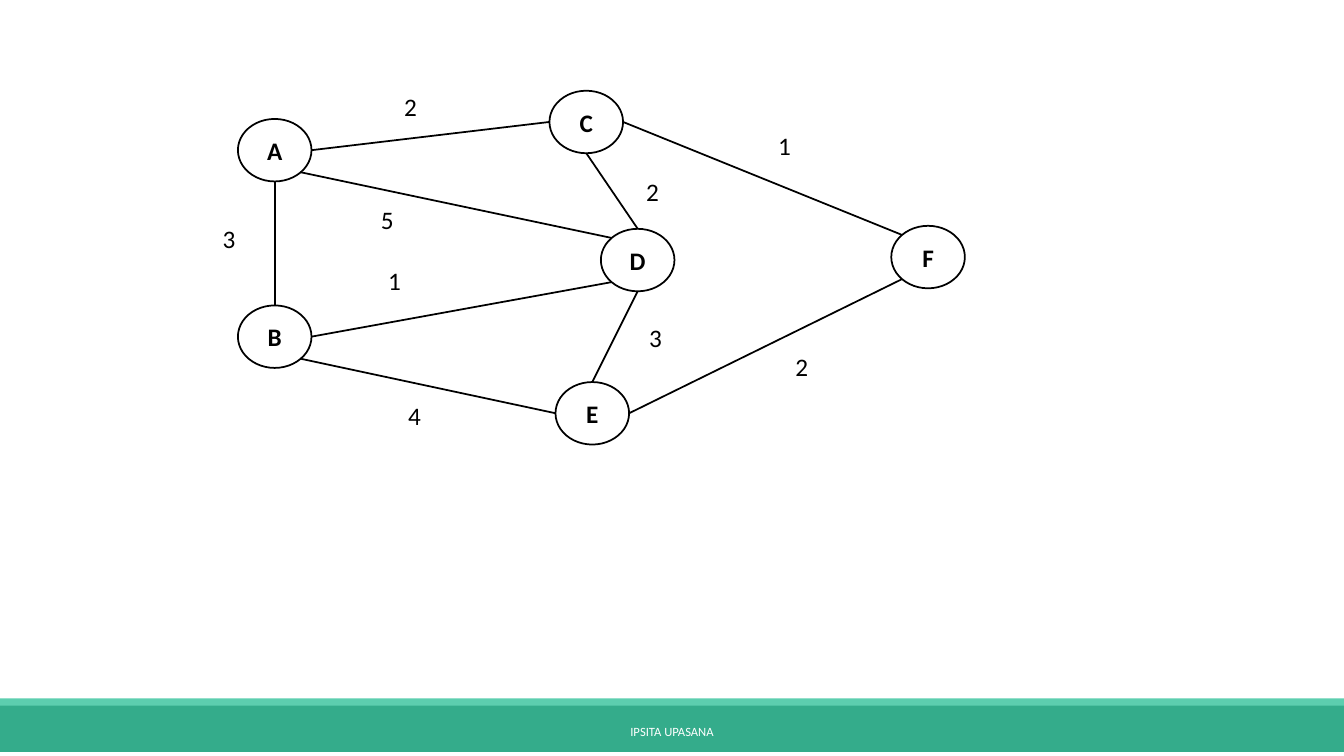
from math import sqrt

from lxml.etree import SubElement
from pptx import Presentation
from pptx.dml.color import RGBColor
from pptx.enum.shapes import MSO_CONNECTOR, MSO_SHAPE
from pptx.enum.text import MSO_ANCHOR, MSO_AUTO_SIZE, PP_ALIGN
from pptx.oxml.ns import qn
from pptx.util import Inches, Pt

BLACK = RGBColor(0x00, 0x00, 0x00)
WHITE = RGBColor(0xFF, 0xFF, 0xFF)
GREEN = RGBColor(0x34, 0xAC, 0x8B)
MINT = RGBColor(0x5D, 0xCE, 0xAF)

NODE_W, NODE_H = 0.73, 0.62
LABEL_W, LABEL_H = 0.38, 0.4
DIAGONAL = 1 / sqrt(2)
SIDES = {
    "top": (0, -1),
    "bottom": (0, 1),
    "left": (-1, 0),
    "right": (1, 0),
    "top left": (-DIAGONAL, -DIAGONAL),
    "bottom left": (-DIAGONAL, DIAGONAL),
    "bottom right": (DIAGONAL, DIAGONAL),
}

NODES = {
    "A": (0.25, 0.32),
    "B": (0.25, 2.17),
    "C": (3.34, 0.04),
    "D": (3.85, 1.41),
    "E": (3.4, 2.93),
    "F": (6.73, 1.38),
}
EDGES = [
    ("A", "bottom", "B", "top", "3", (0, 1.31)),
    ("A", "right", "C", "left", "2", (1.8, 0)),
    ("A", "bottom right", "D", "top left", "5", (1.57, 1.12)),
    ("B", "right", "D", "bottom left", "1", (1.64, 1.72)),
    ("B", "bottom right", "E", "left", "4", (1.84, 3.06)),
    ("C", "right", "F", "top left", "1", (5.51, 0.38)),
    ("E", "right", "F", "bottom left", "2", (5.68, 2.58)),
    ("C", "bottom", "D", "top", "2", (4.2, 0.84)),
    ("E", "top", "D", "bottom", "3", (4.23, 2.29)),
]


def write(shape, text, color, **font_format):
    frame = shape.text_frame
    frame.word_wrap = True
    paragraph = frame.paragraphs[0]
    run = paragraph.add_run()
    run.text = text
    run.font.color.rgb = color
    for name, value in {"name": "Calibri", **font_format}.items():
        setattr(run.font, name, value)
    return frame, paragraph


def center(frame, paragraph):
    frame.vertical_anchor = MSO_ANCHOR.MIDDLE
    paragraph.alignment = PP_ALIGN.CENTER


def add_filled(slide, preset, box, color):
    shape = slide.shapes.add_shape(preset, *map(Inches, box))
    shape.shadow.inherit = False
    shape.fill.solid()
    shape.fill.fore_color.rgb = color
    shape.line.fill.background()
    return shape


def add_footer(slide, box):
    left, top, width, height = box
    add_filled(slide, MSO_SHAPE.RECTANGLE, (left, top + 0.03, width, height - 0.03), GREEN)
    add_filled(slide, MSO_SHAPE.RECTANGLE, (left, top, width, 0.07), MINT)
    author = slide.shapes.add_textbox(
        *map(Inches, (left + 4.03, top + 0.13, 5.27, 0.4)))
    center(*write(author, "IPSITA UPASANA", WHITE, size=Pt(9)))


def add_node(slide, letter, left, top):
    node = add_filled(slide, MSO_SHAPE.OVAL, (left, top, NODE_W, NODE_H), WHITE)
    node.line.color.rgb = BLACK
    node.line.width = Pt(1.25)
    center(*write(node, letter, BLACK, size=Pt(18), bold=True))


def site(letter, side, left, top):
    x, y = NODES[letter]
    across, down = SIDES[side]
    return (Inches(left + x + NODE_W / 2 * (1 + across)),
            Inches(top + y + NODE_H / 2 * (1 + down)))


def add_edge(slide, begin, end):
    edge = slide.shapes.add_connector(MSO_CONNECTOR.STRAIGHT, *begin, *end)
    edge.line.color.rgb = BLACK
    edge.line.width = Pt(1.25)
    SubElement(edge._element.spPr, qn("a:effectLst"))


def add_weight(slide, weight, left, top):
    label = slide.shapes.add_textbox(
        *map(Inches, (left, top, LABEL_W, LABEL_H)))
    frame, _ = write(label, weight, BLACK, size=Pt(18))
    frame.auto_size = MSO_AUTO_SIZE.SHAPE_TO_FIT_TEXT


def add_graph(slide, box):
    left, top = box
    for letter, (x, y) in NODES.items():
        add_node(slide, letter, left + x, top + y)
    for start, start_side, finish, finish_side, weight, (x, y) in EDGES:
        add_edge(slide, site(start, start_side, left, top),
                 site(finish, finish_side, left, top))
        add_weight(slide, weight, left + x, top + y)


def main():
    presentation = Presentation()
    presentation.slide_width = Inches(13.33)
    presentation.slide_height = Inches(7.5)
    slide = presentation.slides.add_slide(presentation.slide_layouts[6])
    add_footer(slide, (0, 6.93, 13.33, 0.53))
    add_graph(slide, (2.11, 0.86))
    presentation.save("out.pptx")


if __name__ == "__main__":
    main()
